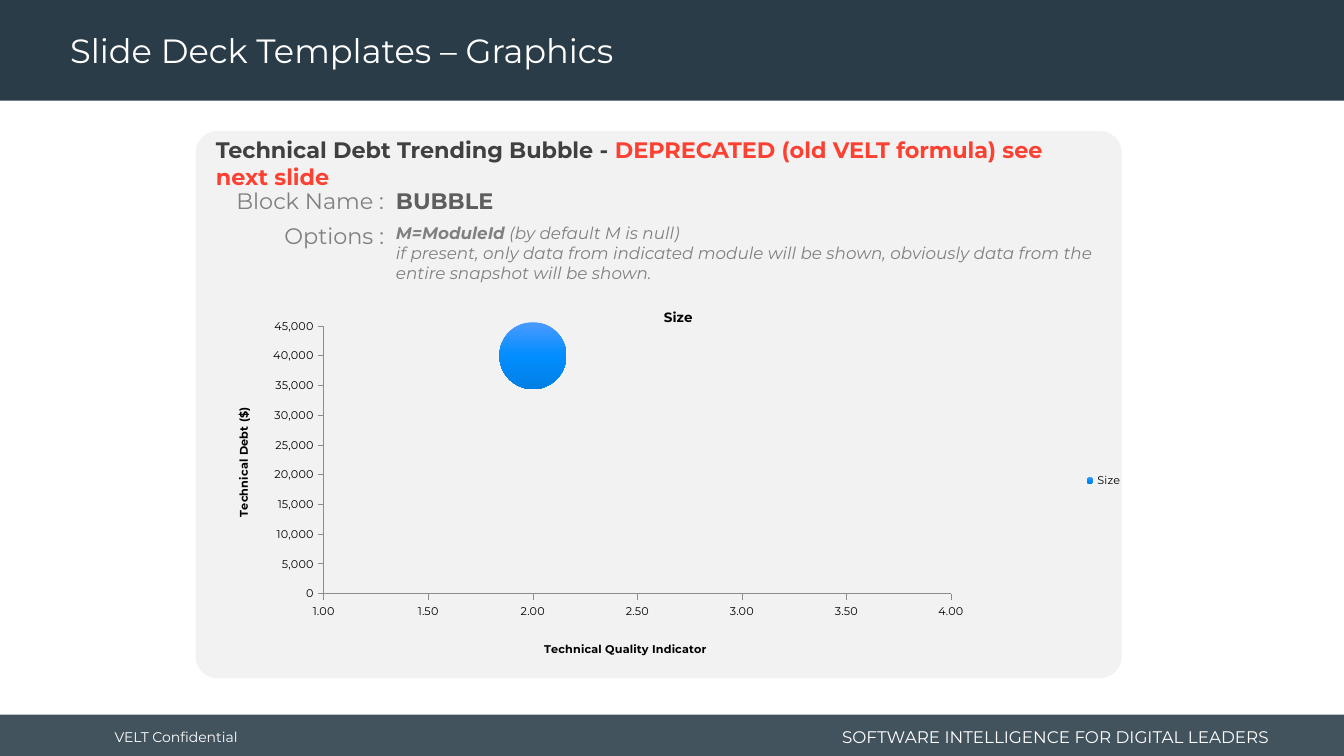
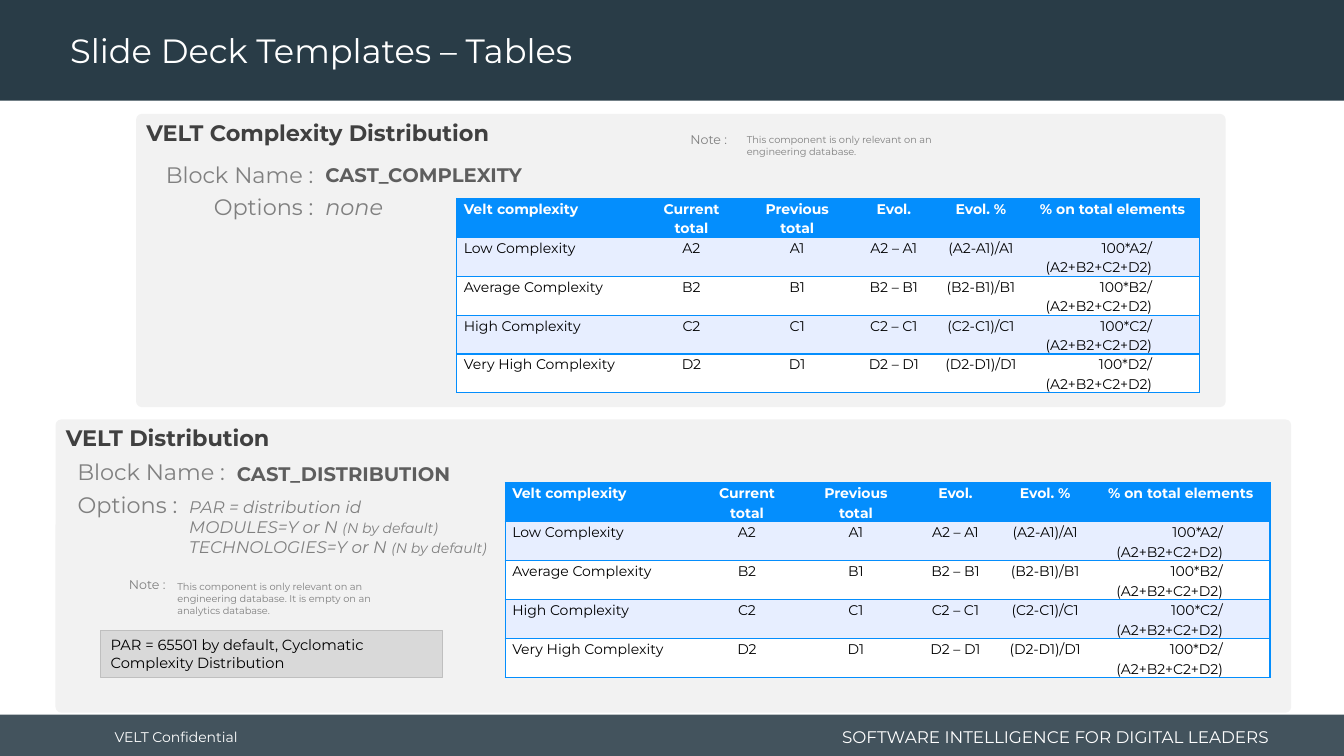
import dataclasses

import pptx
import pptx.chart.data
import pptx.dml.color
import pptx.enum.chart
import pptx.enum.shapes
import pptx.enum.text
import pptx.oxml
import pptx.oxml.ns
import pptx.util

Cm = pptx.util.Cm
Pt = pptx.util.Pt
qn = pptx.oxml.ns.qn
ALIGN = pptx.enum.text.PP_ALIGN
ANCHOR = pptx.enum.text.MSO_ANCHOR
SHAPE = pptx.enum.shapes.MSO_SHAPE


@dataclasses.dataclass(frozen=True)
class Style:
    size: float
    color: str
    bold: bool = False
    italic: bool = False


class Theme:
    font = "Montserrat"
    slide_width, slide_height = 33.87, 19.05
    band, panel = "293C47", "F2F2F2"
    callout_fill, callout_line = "D9D9D9", "BFBFBF"
    accent, stripe, white, axis = "048EFD", "E7EEFF", "FFFFFF", "8C8C8C"
    bubble = ((0, "4B9AFF"), (0.5, "028EFF"), (1, "007FE4"))
    title = Style(24, white)
    confidential = Style(10, white)
    slogan = Style(12, white)
    heading = Style(16, "404040", bold=True)
    warning = Style(16, "FC4132", bold=True)
    label = Style(16, "808080")
    block_large = Style(16, "5E5E5E", bold=True)
    block = Style(14, "5E5E5E", bold=True)
    option_large = Style(16, "808080", italic=True)
    option = Style(12, "808080", italic=True)
    option_key = Style(12, "808080", bold=True, italic=True)
    option_small = Style(10, "808080", italic=True)
    note_label = Style(9, "808080")
    note = Style(7, "808080")
    callout = Style(10.5, "000000")
    table_head = Style(10, white, bold=True)
    table_body = Style(10, "000000")
    chart_text = Style(8, "000000")
    axis_title = Style(8, "000000", bold=True)
    chart_title = Style(9.6, "000000", bold=True)


def rgb(color):
    return pptx.dml.color.RGBColor.from_string(color)


def style_font(font, style):
    font.name = Theme.font
    font.size = Pt(style.size)
    font.bold = style.bold
    font.italic = style.italic
    font.color.rgb = rgb(style.color)


def write(text_frame, paragraphs, align=ALIGN.LEFT):
    """Fill a frame; each paragraph is a list of (text, style) runs."""
    for number, runs in enumerate(paragraphs):
        paragraph = text_frame.add_paragraph() if number else text_frame.paragraphs[0]
        paragraph.alignment = align
        for text, style in runs:
            run = paragraph.add_run()
            run.text = text
            style_font(run.font, style)


def add_text(slide, box, paragraphs, align=ALIGN.LEFT, anchor=ANCHOR.TOP, inset=0.25):
    shape = slide.shapes.add_textbox(*map(Cm, box))
    text_frame = shape.text_frame
    text_frame.word_wrap = True
    text_frame.vertical_anchor = anchor
    text_frame.margin_left = text_frame.margin_right = Cm(inset)
    write(text_frame, paragraphs, align)
    return shape


def add_block(slide, box, fill, kind=SHAPE.RECTANGLE):
    shape = slide.shapes.add_shape(kind, *map(Cm, box))
    shape.shadow.inherit = False
    shape.fill.solid()
    shape.fill.fore_color.rgb = rgb(fill)
    shape.line.fill.background()
    return shape


def add_framed_slide(presentation, title):
    """Add a slide with the header band, footer band and title."""
    slide = presentation.slides.add_slide(presentation.slide_layouts[6])
    footer = add_block(slide, (0, 18.01, Theme.slide_width, 1.04), Theme.band)
    color = footer.fill._xPr.find(".//" + qn("a:srgbClr"))
    color.append(pptx.oxml.parse_xml(
        f'<a:alpha {pptx.oxml.ns.nsdecls("a")} val="88000"/>'))
    add_block(slide, (0, 0, Theme.slide_width, 2.54), Theme.band)
    add_text(slide, (2.64, 18.06, 4.5, 1.02),
             [[("VELT Confidential", Theme.confidential)]], anchor=ANCHOR.MIDDLE)
    add_text(slide, (19.6, 18.16, 12.63, 0.81),
             [[("SOFTWARE INTELLIGENCE FOR DIGITAL LEADERS", Theme.slogan)]],
             ALIGN.RIGHT, ANCHOR.MIDDLE)
    heading = add_text(slide, (1.52, 0.1, 24.33, 2.44), [[(title, Theme.title)]],
                       anchor=ANCHOR.MIDDLE)
    heading.text_frame.paragraphs[0].line_spacing = 0.9
    return slide


def add_panel(slide, box, heading, rounding, heading_shift=0):
    left, top, width, height = box
    panel = add_block(slide, box, Theme.panel, SHAPE.ROUNDED_RECTANGLE)
    panel.adjustments[0] = rounding
    add_text(slide, (left + heading_shift, top, 22.63, 0.94), [heading], inset=0.51)


def add_field(slide, box, label, paragraphs, drop=0, label_style=Theme.label, overlap=0.2):
    """Place a value in the box (left, top, width), with its label on the left."""
    left, top, width = box
    label_width = 4.6
    add_text(slide, (left + overlap - label_width, top, label_width, 0.94),
             [[(label, label_style)]], ALIGN.RIGHT)
    add_text(slide, (left, top + drop, width, 0.94), paragraphs)


def set_layout(element, index, **places):
    """Give a chart part a manual layout, as fractions of the chart."""
    old = element.find(qn("c:layout"))
    if old is not None:
        element.remove(old)
    target = '<c:layoutTarget val="inner"/>' if "w" in places else ""
    modes = "".join(f'<c:{key}Mode val="edge"/>' for key in "xy")
    values = "".join(f'<c:{key} val="{value}"/>' for key, value in places.items())
    element.insert(index, pptx.oxml.parse_xml(
        f'<c:layout {pptx.oxml.ns.nsdecls("c")}><c:manualLayout>'
        f'{target}{modes}{values}</c:manualLayout></c:layout>'))


def set_title(title, text, style):
    title.text_frame.text = text
    style_font(title.text_frame.paragraphs[0].runs[0].font, style)


def format_axis(axis, title, number_format, x, y):
    axis.has_major_gridlines = False
    axis.major_tick_mark = pptx.enum.chart.XL_TICK_MARK.OUTSIDE
    axis.tick_labels.number_format = number_format
    axis.tick_labels.number_format_is_linked = False
    style_font(axis.tick_labels.font, Theme.chart_text)
    axis.format.line.color.rgb = rgb(Theme.axis)
    axis.format.line.width = Pt(0.5)
    set_title(axis.axis_title, title, Theme.axis_title)
    set_layout(axis.axis_title._element, 1, x=x, y=y)


def fill_bubble(series):
    fill = series.format.fill
    fill.gradient()
    fill.gradient_angle = 270
    stops = series._element.find(".//" + qn("a:gsLst"))
    stops.append(pptx.oxml.parse_xml(
        f'<a:gs {pptx.oxml.ns.nsdecls("a")} pos="0"><a:srgbClr val="FFFFFF"/></a:gs>'))
    for stop, (position, color) in zip(fill.gradient_stops, Theme.bubble):
        stop.position = position
        stop.color.rgb = rgb(color)
    series.format.line.fill.background()


def add_bubble_chart(slide, box):
    data = pptx.chart.data.BubbleChartData()
    data.add_series("Size").add_data_point(2, 40000, 20000)
    chart = slide.shapes.add_chart(
        pptx.enum.chart.XL_CHART_TYPE.BUBBLE, *map(Cm, box), data).chart
    style_font(chart.font, Theme.chart_text)
    chart.has_title = True
    set_title(chart.chart_title, "Size", Theme.chart_title)
    chart.has_legend = True
    chart.legend.position = pptx.enum.chart.XL_LEGEND_POSITION.RIGHT
    chart.legend.include_in_layout = False
    style_font(chart.legend.font, Theme.chart_text)
    quality, debt = chart.category_axis, chart.value_axis
    format_axis(quality, "Technical Quality Indicator", "0.00", 0.35, 0.92)
    format_axis(debt, "Technical Debt ($)", "#,##0", 0.01, 0.3)
    debt.axis_title._element.find(".//" + qn("a:bodyPr")).set("rot", "-5400000")
    quality.minimum_scale, quality.maximum_scale = 1, 4
    plot_area = chart._chartSpace.find(".//" + qn("c:plotArea"))
    for vary_colors in plot_area.iter(qn("c:varyColors")):
        vary_colors.set("val", "0")
    fill_bubble(chart.plots[0].series[0])
    set_layout(plot_area, 0, x=0.11, y=0.09, w=0.69, h=0.71)


def add_borders(cell, sides):
    properties = cell._tc.get_or_add_tcPr()
    for side in sides:
        properties.append(pptx.oxml.parse_xml(
            f'<a:ln{side} {pptx.oxml.ns.nsdecls("a")} w="12700"><a:solidFill>'
            f'<a:srgbClr val="{Theme.accent}"/></a:solidFill></a:ln{side}>'))


def add_complexity_table(slide, left, top, width):
    rows = [["Velt complexity", "Current total", "Previous total",
             "Evol.", "Evol. %", "% on total elements"]]
    for letter, grade in zip("ABCD", ("Low", "Average", "High", "Very High")):
        now, before = letter + "2", letter + "1"
        rows.append([f"{grade} Complexity", now, before, f"{now} – {before}",
                     f"({now}-{before})/{before}", f"100*{now}/(A2+B2+C2+D2)"])
    shares = (4.62, 2.59, 2.74, 2.13, 2.26, 4.37)
    last = len(shares) - 1
    row_height = 0.98
    table = slide.shapes.add_table(
        len(rows), len(shares), Cm(left), Cm(top), Cm(width),
        Cm(row_height * len(rows))).table
    table.horz_banding = table.first_row = False
    no_grid = "{2D5ABB26-0587-4C30-8999-92F81FD0307C}"
    table._tbl.tblPr.find(qn("a:tableStyleId")).text = no_grid
    for column, share in zip(table.columns, shares):
        column.width = Cm(width * share / sum(shares))
    for row_index, values in enumerate(rows):
        table.rows[row_index].height = Cm(row_height)
        head = row_index == 0
        fill = Theme.accent if head else Theme.stripe if row_index % 2 else Theme.white
        style = Theme.table_head if head else Theme.table_body
        for column_index, value in enumerate(values):
            cell = table.cell(row_index, column_index)
            formula = column_index == last and not head
            cell.margin_left = Cm(0.18)
            cell.margin_right = Cm(1.19 if formula else 0.18)
            cell.margin_top = cell.margin_bottom = 0
            add_borders(cell, ["L"] * (column_index == 0)
                        + ["R"] * (column_index == last) + ["T", "B"])
            cell.fill.solid()
            cell.fill.fore_color.rgb = rgb(fill)
            align = (ALIGN.RIGHT if formula
                     else ALIGN.CENTER if column_index else ALIGN.LEFT)
            write(cell.text_frame, [[(value, style)]], align)
            cell.text_frame.paragraphs[0].line_spacing = 1.15


def add_bubble_panel(slide, left, top):
    add_panel(slide, (left, top, 23.34, 13.79),
              [("Technical Debt Trending Bubble - ", Theme.heading),
               ("DEPRECATED (old VELT formula) see next slide", Theme.warning)], 0.04)
    add_bubble_chart(slide, (left + 0.71, top + 4.06, 22.91, 9.5))
    add_field(slide, (left + 4.8, top + 1.3, 18.42), "Block Name :",
              [[("BUBBLE", Theme.block_large)]])
    add_field(slide, (left + 4.8, top + 2.18, 18.42), "Options :", [
        [("M=ModuleId", Theme.option_key), (" (by default M is null)", Theme.option)],
        [("if present, only data from indicated module will be shown, obviously "
          "data from the entire snapshot will be shown.", Theme.option)]])


def add_distribution_panel(slide, left, top):
    add_panel(slide, (left, top, 31.14, 7.39),
              [("VELT Distribution", Theme.heading)], 0.02, -0.25)
    add_field(slide, (left + 4.32, top + 0.86, 18.42), "Block Name :",
              [[("CAST_DISTRIBUTION", Theme.block)]], 0.08)
    default = ("(N by default)", Theme.option_small)
    add_field(slide, (left + 3.12, top + 1.68, 8.23), "Options :", [
        [("PAR = distribution id", Theme.option)],
        [("MODULES=Y or N ", Theme.option), default],
        [("TECHNOLOGIES=Y or N ", Theme.option), default]], 0.13)
    add_field(slide, (left + 2.82, top + 3.84, 5.49), "Note :", [[
        ("This component is only relevant on an engineering database. "
         "It is empty on an analytics database.", Theme.note)]], 0.1, Theme.note_label)
    callout = add_block(slide, (left + 1.14, top + 5.31, 8.61, 1.19), Theme.callout_fill)
    callout.line.color.rgb = rgb(Theme.callout_line)
    callout.line.width = Pt(0.75)
    callout.text_frame.word_wrap = True
    write(callout.text_frame, [[(
        "PAR = 65501 by default, Cyclomatic Complexity Distribution", Theme.callout)]])
    add_complexity_table(slide, left + 11.33, top + 1.6, 19.28)


def add_complexity_panel(slide, left, top):
    add_panel(slide, (left, top, 27.46, 7.39),
              [("VELT Complexity Distribution", Theme.heading)], 0.02, -0.25)
    add_field(slide, (left + 4.52, top + 1.07, 18.42), "Block Name :",
              [[("CAST_COMPLEXITY", Theme.block)]], 0.05)
    add_field(slide, (left + 4.52, top + 1.88, 18.42), "Options :",
              [[("none", Theme.option_large)]])
    add_field(slide, (left + 15.14, top + 0.33, 6.17), "Note :", [[
        ("This component is only relevant on an engineering database.", Theme.note)]],
        0.05, Theme.note_label, 0)
    add_complexity_table(slide, left + 8.08, top + 2.13, 18.71)


def main():
    presentation = pptx.Presentation()
    presentation.slide_width = Cm(Theme.slide_width)
    presentation.slide_height = Cm(Theme.slide_height)
    graphics = add_framed_slide(presentation, "Slide Deck Templates – Graphics")
    add_bubble_panel(graphics, 4.93, 3.3)
    tables = add_framed_slide(presentation, "Slide Deck Templates – Tables")
    add_distribution_panel(tables, 1.4, 10.57)
    add_complexity_panel(tables, 3.43, 2.87)
    presentation.save("out.pptx")


if __name__ == "__main__":
    main()
